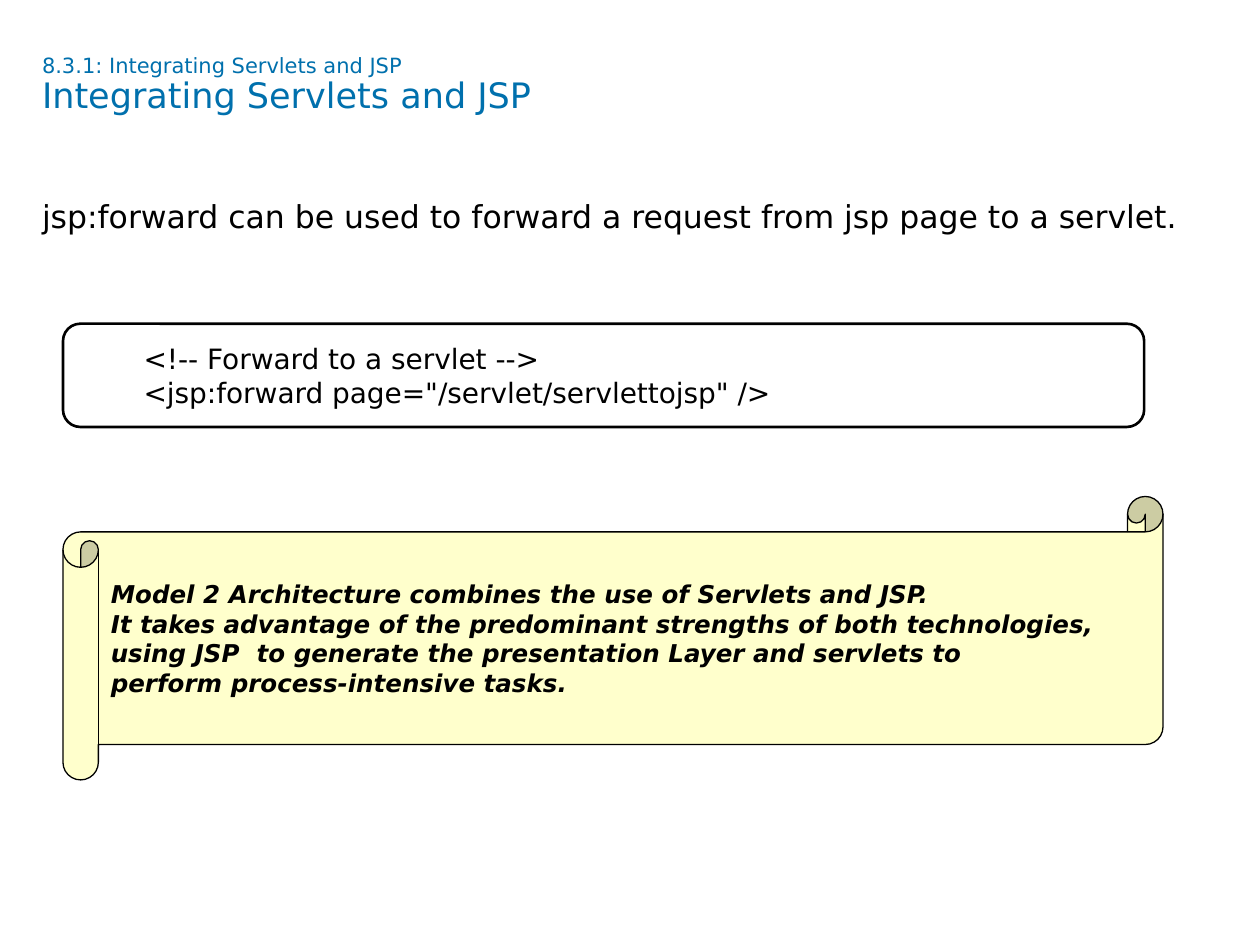
from dataclasses import dataclass
from typing import Optional

from pptx import Presentation
from pptx.dml.color import RGBColor
from pptx.enum.shapes import MSO_SHAPE
from pptx.enum.text import MSO_ANCHOR, MSO_AUTO_SIZE, PP_ALIGN
from pptx.util import Pt

ROUNDED = MSO_SHAPE.ROUNDED_RECTANGLE
SCROLL = MSO_SHAPE.HORIZONTAL_SCROLL
TOP, MIDDLE = MSO_ANCHOR.TOP, MSO_ANCHOR.MIDDLE
LEFT = PP_ALIGN.LEFT
NO_AUTOFIT = MSO_AUTO_SIZE.NONE


@dataclass(frozen=True)
class Theme:
    font: str = "DejaVu Sans"
    title_color: RGBColor = RGBColor(0x00, 0x70, 0xAD)
    ink: RGBColor = RGBColor(0x00, 0x00, 0x00)
    scroll_fill: RGBColor = RGBColor(0xFF, 0xFF, 0xCC)
    section_size: float = 12
    title_size: float = 20
    body_size: float = 18
    code_size: float = 16
    note_size: float = 14


THEME = Theme()


@dataclass(frozen=True)
class Box:
    left: float
    top: float
    width: float
    height: float


@dataclass(frozen=True)
class Panel:
    kind: MSO_SHAPE
    box: Box
    adjustment: float
    line_width: float
    lines: tuple[str, ...]
    size: float
    fill: Optional[RGBColor] = None
    emphasis: bool = False
    margin_left: float = 7.2


def place(shape, box: Box) -> None:
    shape.left, shape.top = Pt(box.left), Pt(box.top)
    shape.width, shape.height = Pt(box.width), Pt(box.height)


def frame_text(shape, anchor=TOP, margins=(0, 0, 0, 0)):
    """Prepare a wrapped text frame; margins run left, top, right, bottom."""
    frame = shape.text_frame
    frame.word_wrap = True
    frame.auto_size = NO_AUTOFIT
    frame.vertical_anchor = anchor
    (frame.margin_left, frame.margin_top,
     frame.margin_right, frame.margin_bottom) = map(Pt, margins)
    return frame


def write(paragraph, text: str, *, size: float, color: RGBColor = THEME.ink,
          bold: bool = False, italic: bool = False) -> None:
    paragraph.alignment = LEFT
    run = paragraph.add_run()
    run.text = text
    font = run.font
    font.name, font.size = THEME.font, Pt(size)
    font.bold, font.italic = bold, italic
    font.color.rgb = color


def add_panel(slide, panel: Panel) -> None:
    box = panel.box
    shape = slide.shapes.add_shape(
        panel.kind, Pt(box.left), Pt(box.top), Pt(box.width), Pt(box.height))
    shape.shadow.inherit = False
    shape.adjustments[0] = panel.adjustment
    if panel.fill is None:
        shape.fill.background()
    else:
        shape.fill.solid()
        shape.fill.fore_color.rgb = panel.fill
    shape.line.color.rgb = THEME.ink
    shape.line.width = Pt(panel.line_width)
    frame = frame_text(shape, MIDDLE, (panel.margin_left, 3.6, 7.2, 3.6))
    for index, line in enumerate(panel.lines):
        paragraph = frame.add_paragraph() if index else frame.paragraphs[0]
        write(paragraph, line, size=panel.size,
              bold=panel.emphasis, italic=panel.emphasis)


PANELS = (
    Panel(SCROLL, Box(36, 283.7, 628.6, 162), 0.125, 0.75,
          ("Model 2 Architecture combines the use of Servlets and JSP.",
           "It takes advantage of the predominant strengths of both technologies,",
           "using JSP  to generate the presentation Layer and servlets to",
           "perform process-intensive tasks."),
          THEME.note_size, fill=THEME.scroll_fill, emphasis=True),
    Panel(ROUNDED, Box(36, 185, 617.8, 59), 0.167, 1.5,
          ("<!-- Forward to a servlet -->",
           '<jsp:forward page="/servlet/servlettojsp" />'),
          THEME.code_size, margin_left=43.2),
)


def main() -> None:
    presentation = Presentation()
    presentation.slide_width, presentation.slide_height = Pt(720), Pt(540)
    slide = presentation.slides.add_slide(presentation.slide_layouts[5])

    # Title with its section number above
    title = slide.shapes.title
    place(title, Box(24, 31.7, 651, 67.7))
    heading = frame_text(title).paragraphs[0]
    heading.line_spacing = 0.9
    write(heading, "8.3.1: Integrating Servlets and JSP",
          size=THEME.section_size, color=THEME.title_color)
    heading.add_line_break()
    write(heading, "Integrating Servlets and JSP",
          size=THEME.title_size, color=THEME.title_color)

    # Code box and scroll
    for panel in PANELS:
        add_panel(slide, panel)

    # Statement
    statement = slide.shapes.add_textbox(Pt(24), Pt(117.4), Pt(696), Pt(44.6))
    sentence = frame_text(statement).paragraphs[0]
    sentence.line_spacing = Pt(16.5)
    sentence.space_after = Pt(4.5)
    write(sentence,
          "jsp:forward can be used to forward a request from jsp page to a servlet.",
          size=THEME.body_size)

    presentation.save("out.pptx")


if __name__ == "__main__":
    main()
